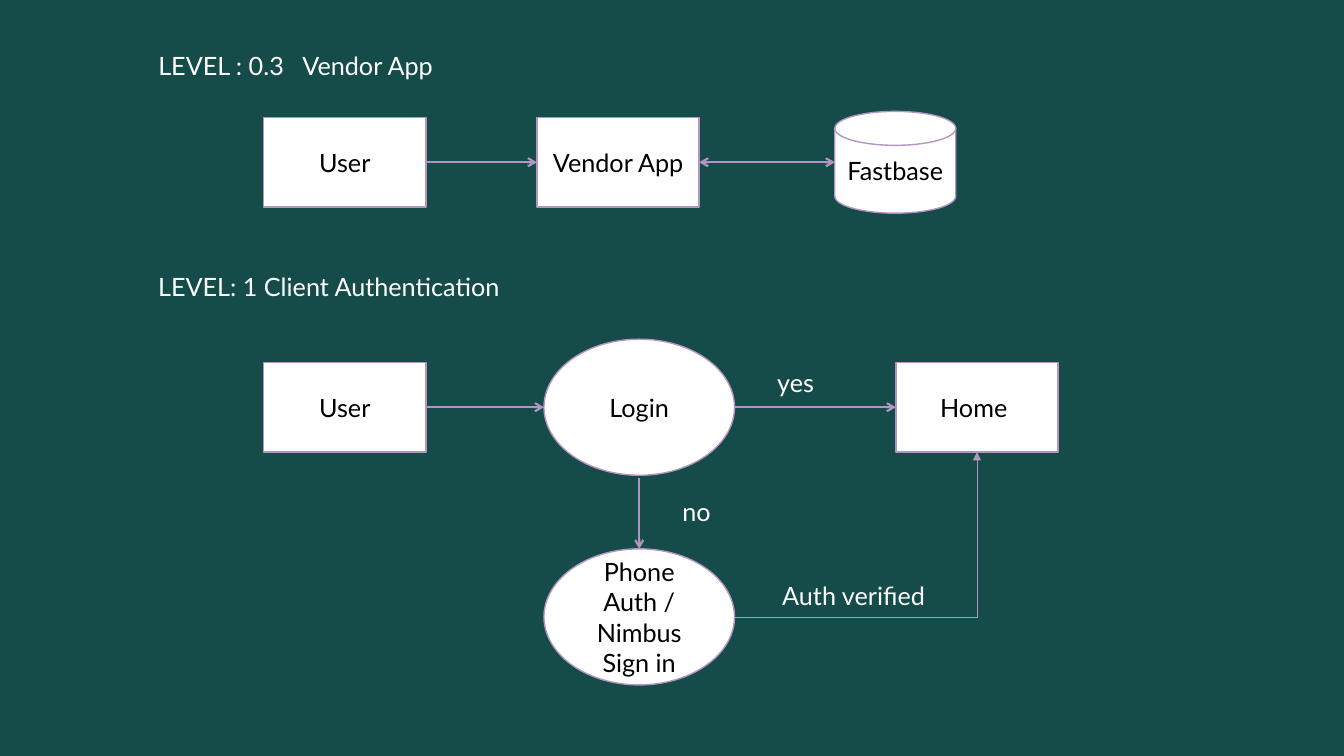
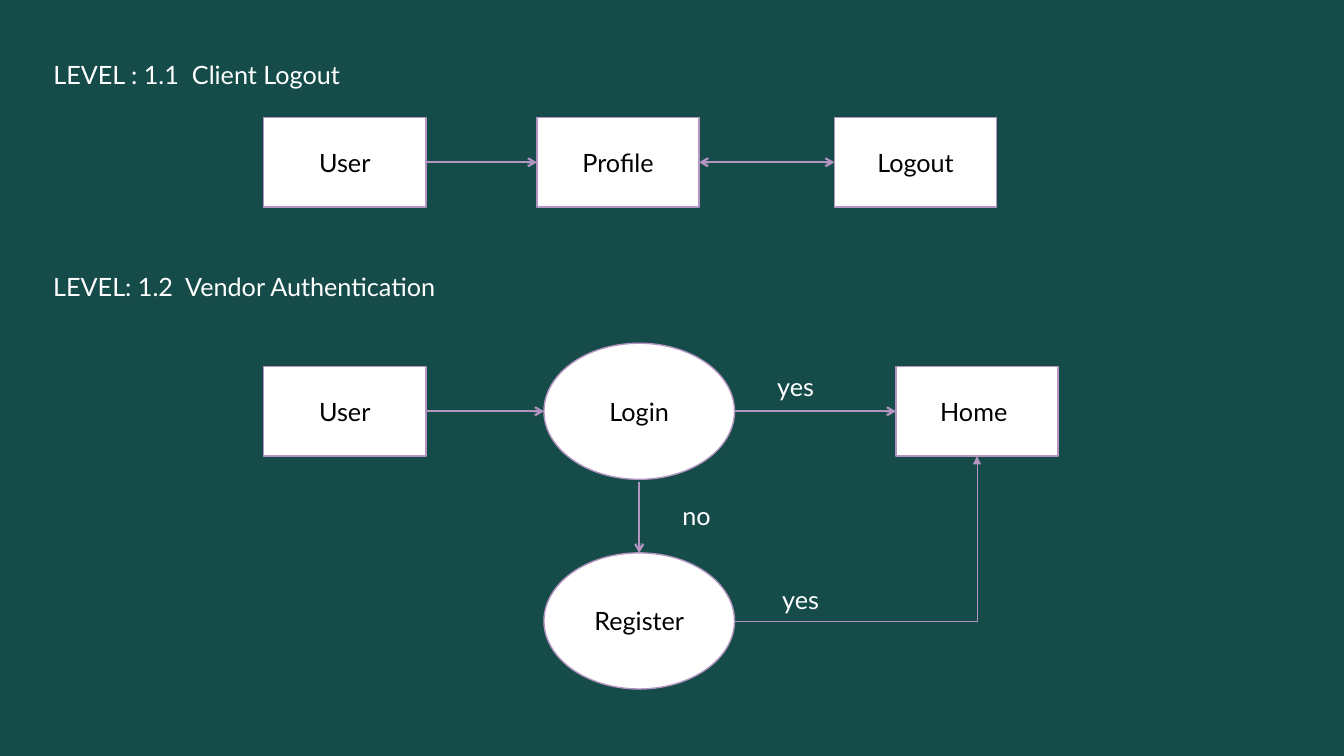
from pptx import Presentation
from pptx.dml.color import RGBColor
from pptx.enum import shapes, text
from pptx.oxml.ns import qn
from pptx.util import Inches, Pt

TEAL = RGBColor(0x15, 0x4C, 0x4A)
LILAC = RGBColor(0xB4, 0x95, 0xC2)
WHITE = RGBColor(0xFF, 0xFF, 0xFF)
BLACK = RGBColor(0x00, 0x00, 0x00)
FONT = "Lato"

BOX, OVAL, DISK = (shapes.MSO_SHAPE.RECTANGLE, shapes.MSO_SHAPE.OVAL,
                   shapes.MSO_SHAPE.FLOWCHART_MAGNETIC_DISK)
SIZES = {BOX: (1.61, 0.89), OVAL: (1.89, 1.35), DISK: (1.2, 1.01)}
TOP, LEFT, BOTTOM, RIGHT = range(4)

USER_X, MIDDLE_X, OVAL_X, HOME_X = 3.42, 6.13, 6.34, 9.69
CHAIN_Y = 1.61
SECOND_HEADING_Y = 2.64
OVAL_STEP = 2.08
LINE_HEIGHT = 0.4

SLIDES = [
    {
        "heading_x": 1.47, "title_y": 0.45,
        "title": "LEVEL : 0.3   Vendor App",
        "chain": ["User", "Vendor App", "Fastbase"],
        "last": (DISK, 8.88),
        "heading": "LEVEL: 1 Client Authentication",
        "login_y": 4.04,
        "fallback": "Phone Auth / Nimbus Sign in",
        "outcome": ("Auth verified", 1.68),
    },
    {
        "heading_x": 0.43, "title_y": 0.54,
        "title": "LEVEL : 1.1  Client Logout",
        "chain": ["User", "Profile", "Logout"],
        "last": (BOX, 9.08),
        "heading": "LEVEL: 1.2  Vendor Authentication",
        "login_y": 4.08,
        "fallback": "Register",
        "outcome": ("yes", 0.59),
    },
]


def write(shape, words, color, align, anchor, wrap):
    frame = shape.text_frame
    frame.word_wrap = wrap
    frame.auto_size = text.MSO_AUTO_SIZE.NONE
    frame.vertical_anchor = anchor
    para = frame.paragraphs[0]
    para.alignment = align
    span = para.add_run()
    span.text = words
    span.font.name, span.font.size = FONT, Pt(18)
    span.font.color.rgb = color


def write_line(shape, words):
    """One unwrapped white line, for headings and arrow labels."""
    write(shape, words, WHITE, text.PP_ALIGN.LEFT, text.MSO_ANCHOR.TOP, False)


def add_label(page, words, left, top, width):
    box = page.shapes.add_textbox(Inches(left), Inches(top), Inches(width),
                                  Inches(LINE_HEIGHT))
    write_line(box, words)


def add_title(page, words, left, top):
    title = page.shapes.title
    title.left, title.top = Inches(left), Inches(top)
    title.width, title.height = Inches(4), Inches(LINE_HEIGHT)
    write_line(title, words)


def add_node(page, kind, words, x, y):
    """Draw a white shape centred on x, y."""
    width, height = SIZES[kind]
    node = page.shapes.add_shape(kind, Inches(x - width / 2), Inches(y - height / 2),
                                 Inches(width), Inches(height))
    node.shadow.inherit = False
    node.fill.solid()
    node.fill.fore_color.rgb = WHITE
    node.line.color.rgb = LILAC
    node.line.width = Pt(1)
    write(node, words, BLACK, text.PP_ALIGN.CENTER, text.MSO_ANCHOR.MIDDLE, True)
    return node


def side_point(node, side):
    across = {LEFT: 0, RIGHT: node.width}.get(side, node.width // 2)
    down = {TOP: 0, BOTTOM: node.height}.get(side, node.height // 2)
    return node.left + across, node.top + down


def add_arrow(page, start, end, sides=(RIGHT, LEFT), both=False, gap=0, elbow=False):
    """Arrow between two nodes; gap lowers its starting point."""
    begin_x, begin_y = side_point(start, sides[0])
    kind = shapes.MSO_CONNECTOR.ELBOW if elbow else shapes.MSO_CONNECTOR.STRAIGHT
    arrow = page.shapes.add_connector(kind, begin_x, begin_y + Inches(gap),
                                      *side_point(end, sides[1]))
    arrow.line.color.rgb = LILAC
    arrow.line.width = Pt(0.5 if elbow else 1.5)
    properties = arrow.element.spPr
    if elbow:
        properties.find(qn("a:prstGeom")).set("prst", "bentConnector2")
    else:
        if start.auto_shape_type == BOX:
            arrow.begin_connect(start, sides[0])
        if end.auto_shape_type == BOX:
            arrow.end_connect(end, sides[1])
    line = arrow.line._get_or_add_ln()
    for tip in ("a:headEnd", "a:tailEnd") if both else ("a:tailEnd",):
        head = line.makeelement(qn(tip), {"type": "triangle" if elbow else "arrow"})
        line.append(head)
    properties.append(properties.makeelement(qn("a:effectLst"), {}))


def add_chain(page, content):
    last_kind, last_x = content["last"]
    kinds, centres = (BOX, BOX, last_kind), (USER_X, MIDDLE_X, last_x)
    user, middle, last = [add_node(page, kind, words, x, CHAIN_Y)
                          for kind, words, x in zip(kinds, content["chain"], centres)]
    add_arrow(page, user, middle)
    add_arrow(page, middle, last, both=True)


def add_login_flow(page, content):
    y = content["login_y"]
    user = add_node(page, BOX, "User", USER_X, y)
    login = add_node(page, OVAL, "Login", OVAL_X, y)
    home = add_node(page, BOX, "Home ", HOME_X, y)
    fallback = add_node(page, OVAL, content["fallback"], OVAL_X, y + OVAL_STEP)
    add_arrow(page, user, login)
    add_arrow(page, login, home)
    add_arrow(page, login, fallback, (BOTTOM, TOP), gap=0.03)
    add_arrow(page, fallback, home, (RIGHT, BOTTOM), elbow=True)
    outcome, outcome_width = content["outcome"]
    add_label(page, "yes", 7.61, y - 0.45, 0.58)
    add_label(page, "no", 6.67, y + 0.83, 0.5)
    add_label(page, outcome, 7.66, y + 1.67, outcome_width)


def main():
    deck = Presentation()
    deck.slide_width, deck.slide_height = Inches(13.33), Inches(7.5)
    backdrop = deck.slide_master.background.fill
    backdrop.solid()
    backdrop.fore_color.rgb = TEAL
    title_only = deck.slide_layouts[5]
    for content in SLIDES:
        page = deck.slides.add_slide(title_only)
        left = content["heading_x"]
        add_title(page, content["title"], left, content["title_y"])
        add_chain(page, content)
        add_label(page, content["heading"], left, SECOND_HEADING_Y, 4.07)
        add_login_flow(page, content)
    deck.save("out.pptx")


if __name__ == "__main__":
    main()
